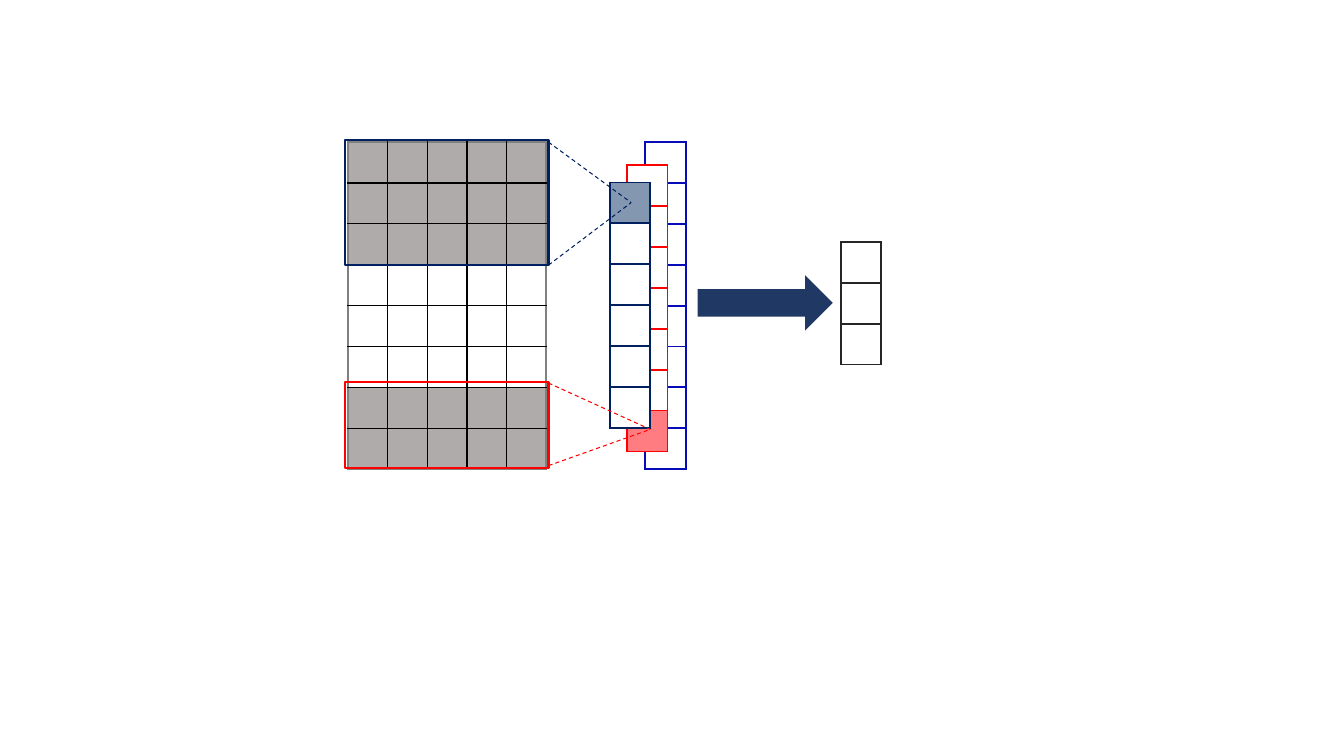
import pptx
import pptx.dml.color
import pptx.enum.dml
import pptx.enum.shapes
import pptx.oxml
import pptx.oxml.ns
import pptx.util

Inches = pptx.util.Inches
RGBColor = pptx.dml.color.RGBColor
Shape = pptx.enum.shapes.MSO_SHAPE

WHITE = RGBColor(0xFF, 0xFF, 0xFF)
BLACK = RGBColor(0x00, 0x00, 0x00)
GRAY = RGBColor(0xAF, 0xAB, 0xAB)
EDGE_GRAY = RGBColor(0x80, 0x80, 0x80)
CHARCOAL = RGBColor(0x26, 0x26, 0x26)
NAVY = RGBColor(0x00, 0x20, 0x60)
ARROW_NAVY = RGBColor(0x20, 0x38, 0x64)
STEEL = RGBColor(0x84, 0x97, 0xB0)
BLUE = RGBColor(0x08, 0x0C, 0xB8)
RED = RGBColor(0xFF, 0x00, 0x00)
PINK = RGBColor(0xFF, 0x7C, 0x80)

CELL = 0.4


class Diagram:
    """Draws the parts of the diagram on one page in a shared style."""

    plain_table = {"first_row": False, "horz_banding": False}
    outline = {"width": pptx.util.Pt(1.5)}
    dashed = {
        "width": pptx.util.Pt(0.75),
        "dash_style": pptx.enum.dml.MSO_LINE.DASH,
    }

    def __init__(self, page):
        self.page = page

    def apply(self, target, values):
        for name, value in values.items():
            setattr(target, name, value)

    def border(self, cell, side, color, points):
        properties = cell._tc.get_or_add_tcPr()
        properties.append(pptx.oxml.parse_xml(
            f'<a:ln{side} {pptx.oxml.ns.nsdecls("a")} w="{pptx.util.Pt(points)}">'
            f'<a:solidFill><a:srgbClr val="{color}"/></a:solidFill></a:ln{side}>'
        ))

    def grid(self, left, top, row_fills, edge, inner=None, columns=1, column_width=CELL):
        """Add a table with one fill per row; inner is (colour, points)."""
        rows = len(row_fills)
        frame = self.page.shapes.add_table(
            rows, columns, Inches(left), Inches(top),
            Inches(column_width * columns), Inches(CELL * rows),
        )
        table = frame.table
        self.apply(table, self.plain_table)
        outer = (edge, 1.5)
        inner = inner or outer
        for row, fill in enumerate(row_fills):
            for column in range(columns):
                cell = table.cell(row, column)
                on_edge = {
                    "L": column == 0,
                    "R": column == columns - 1,
                    "T": row == 0,
                    "B": row == rows - 1,
                }
                for side, outside in on_edge.items():
                    self.border(cell, side, *(outer if outside else inner))
                cell.fill.solid()
                cell.fill.fore_color.rgb = fill

    def shape(self, kind, left, top, width, height, fill=None, line=None):
        shape = self.page.shapes.add_shape(
            kind, Inches(left), Inches(top), Inches(width), Inches(height))
        shape.shadow.inherit = False
        if fill is None:
            shape.fill.background()
        else:
            shape.fill.solid()
            shape.fill.fore_color.rgb = fill
        if line is None:
            shape.line.fill.background()
        else:
            shape.line.color.rgb = line
            self.apply(shape.line, self.outline)

    def ray(self, start, end, color):
        ray = self.page.shapes.add_connector(
            pptx.enum.shapes.MSO_CONNECTOR.STRAIGHT,
            *(Inches(value) for value in (*start, *end)))
        ray.line.color.rgb = color
        self.apply(ray.line, self.dashed)
        ray._element.spPr.append(pptx.oxml.parse_xml(
            f'<a:effectLst {pptx.oxml.ns.nsdecls("a")}/>'))

    def window(self, top, height, ray_tops, target, color):
        """Frame some input rows and project them onto one feature cell."""
        left, width = 3.42, 2.02
        self.shape(Shape.RECTANGLE, left, top, width, height, line=color)
        for ray_top in ray_tops:
            self.ray((left + width, ray_top), target, color)


def main():
    deck = pptx.Presentation()
    deck.slide_width, deck.slide_height = Inches(13.33), Inches(7.5)
    diagram = Diagram(deck.slides.add_slide(deck.slide_layouts[6]))

    # Input matrix
    diagram.grid(3.45, 1.41, [GRAY] * 3 + [WHITE] * 3 + [GRAY] * 2, EDGE_GRAY,
                 inner=(BLACK, 1), columns=5, column_width=0.394)

    # Stacked feature maps, back to front
    diagram.grid(6.4, 1.41, [WHITE] * 8, BLUE)
    diagram.grid(6.22, 1.64, [WHITE] * 6 + [PINK], RED)
    diagram.grid(6.05, 1.81, [STEEL] + [WHITE] * 5, NAVY)

    # Filter windows and their projections
    diagram.window(1.39, 1.24, (1.41, 2.63), (6.26, 2.01), NAVY)
    diagram.window(3.79, 0.85, (3.8, 4.62), (6.45, 4.26), RED)

    # Pooling arrow and pooled vector
    diagram.shape(Shape.RIGHT_ARROW, 6.92, 2.73, 1.34, 0.55, fill=ARROW_NAVY)
    diagram.grid(8.34, 2.4, [WHITE] * 3, CHARCOAL)

    deck.save("out.pptx")


if __name__ == "__main__":
    main()
